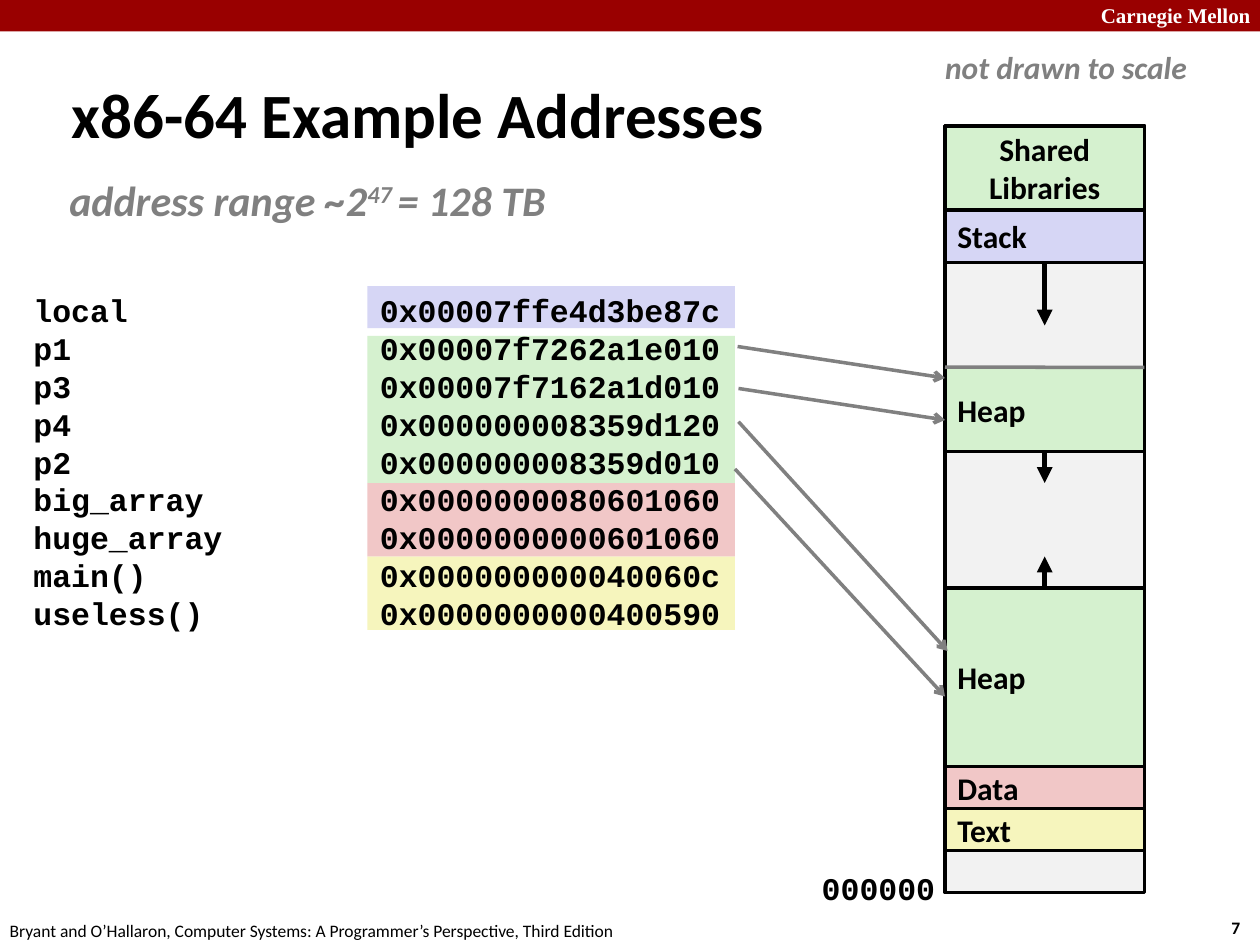
from dataclasses import dataclass

from lxml import etree
from pptx import Presentation
from pptx.dml.color import RGBColor
from pptx.enum.shapes import MSO_CONNECTOR, MSO_SHAPE
from pptx.enum.text import MSO_ANCHOR, MSO_AUTO_SIZE, PP_ALIGN
from pptx.oxml.ns import qn
from pptx.util import Pt

RECTANGLE = MSO_SHAPE.RECTANGLE
STRAIGHT = MSO_CONNECTOR.STRAIGHT
LEFT, CENTER = PP_ALIGN.LEFT, PP_ALIGN.CENTER
TOP, MIDDLE = MSO_ANCHOR.TOP, MSO_ANCHOR.MIDDLE
FIT_SHAPE = MSO_AUTO_SIZE.SHAPE_TO_FIT_TEXT
TOP_SIDE, BOTTOM_SIDE = 0, 2


@dataclass(frozen=True)
class Theme:
    banner: str = "990000"
    white: str = "FFFFFF"
    black: str = "000000"
    gray: str = "808080"
    unused: str = "F2F2F2"
    stack: str = "D6D6F5"
    heap: str = "D5F1CF"
    data: str = "F1C7C7"
    code: str = "F6F5BD"
    sans: str = "Calibri"
    mono: str = "Courier New"
    serif: str = "Times New Roman"
    title: int = 36
    subtitle: int = 24
    body: int = 18
    brand: int = 12
    footer: int = 10


THEME = Theme()
COLUMN_LEFT, COLUMN_WIDTH = 540, 114
COLUMN_MIDDLE = COLUMN_LEFT + COLUMN_WIDTH / 2

ADDRESSES = [
    "local\t0x00007ffe4d3be87c",
    "p1 \t0x00007f7262a1e010",
    "p3 \t0x00007f7162a1d010",
    "p4\t0x000000008359d120",
    "p2\t0x000000008359d010",
    "big_array \t0x0000000080601060",
    "huge_array \t0x0000000000601060",
    "main()\t0x000000000040060c",
    "useless() \t0x0000000000400590",
]
# Top, height and colour of the bands behind the addresses
BANDS = [
    (318, 42, THEME.code),
    (276, 42, THEME.data),
    (163.5, 24, THEME.stack),
    (192, 84, THEME.heap),
]
# Label, top, bottom and colour of the memory regions
REGIONS = [
    ("Text", 462, 486, THEME.code),
    ("Data", 438, 462, THEME.data),
    ("Heap", 336, 438, THEME.heap),
    ("Heap", 210, 258, THEME.heap),
    ("Stack", 120, 150, THEME.stack),
]
POINTERS = [
    ((421.5, 198), (540, 216)),
    ((422, 222), (540, 240)),
    ((422, 241), (541.5, 372)),
    ((420, 268), (540, 398)),
]


def color(value):
    return RGBColor.from_string(value)


def write(shape, paragraphs, *, size=THEME.body, font=THEME.sans, ink=THEME.black,
          bold=True, italic=False, align=LEFT, anchor=TOP, wrap=False,
          line_spacing=None, tab=None):
    """Fill a shape; each paragraph is a list of (text, raised) spans."""
    frame = shape.text_frame
    frame.word_wrap = wrap
    frame.vertical_anchor = anchor
    for index, spans in enumerate(paragraphs):
        para = frame.paragraphs[0] if index == 0 else frame.add_paragraph()
        para.alignment = align
        if line_spacing:
            para.line_spacing = Pt(line_spacing)
        if tab:
            stops = etree.SubElement(para._p.get_or_add_pPr(), qn("a:tabLst"))
            etree.SubElement(stops, qn("a:tab"), pos=str(Pt(tab)), algn="l")
        for text, raised in spans:
            span = para.add_run()
            span.text = text
            span.font.size = Pt(size)
            span.font.name = font
            span.font.bold = bold
            span.font.italic = italic
            span.font.color.rgb = color(ink)
            if raised:
                span.font._element.set("baseline", "30000")


def plain(*lines):
    return [[(line, False)] for line in lines]


def add_label(page, place, paragraphs, **text_format):
    box = page.shapes.add_textbox(*map(Pt, place))
    write(box, paragraphs, **text_format)
    box.text_frame.auto_size = FIT_SHAPE
    return box


def add_block(page, place, fill, outlined=False):
    block = page.shapes.add_shape(RECTANGLE, *map(Pt, place))
    block.shadow.inherit = False
    block.fill.solid()
    block.fill.fore_color.rgb = color(fill)
    if outlined:
        block.line.color.rgb = color(THEME.black)
        block.line.width = Pt(2)
    else:
        block.line.fill.background()
    return block


def add_region(page, top, bottom, fill):
    return add_block(page, (COLUMN_LEFT, top, COLUMN_WIDTH, bottom - top), fill, True)


def add_line(page, start, end, ink=THEME.gray, width=2, head=None):
    line = page.shapes.add_connector(STRAIGHT, *map(Pt, (*start, *end)))
    line.line.color.rgb = color(ink)
    line.line.width = Pt(width)
    properties = line._element.spPr
    if head:
        etree.SubElement(properties.find(qn("a:ln")), qn("a:tailEnd"), type=head)
    etree.SubElement(properties, qn("a:effectLst"))
    return line


def add_growth(page, region, side, start, end):
    """Draw the arrow that shows which way a region grows."""
    arrow = add_line(page, (COLUMN_MIDDLE, start), (COLUMN_MIDDLE, end),
                     THEME.black, 3, "triangle")
    arrow.begin_connect(region, side)


def add_frame(page):
    add_block(page, (0, 0, 720, 18), THEME.banner)
    add_label(page, (622, -2, 103, 21.6), plain("Carnegie Mellon"),
              size=THEME.brand, font=THEME.serif, ink=THEME.white, wrap=True)
    add_label(page, (696.5, 520.5, 26.5, 19.4), plain("7"), size=THEME.footer)
    add_label(page, (-1.5, 522, 366, 19.4), plain(
        "Bryant and O’Hallaron, Computer Systems: A Programmer’s Perspective, Third Edition"),
        size=THEME.footer, bold=False)


def add_addresses(page):
    for top, height, fill in BANDS:
        add_block(page, (210, top, 210, height), fill)
    add_label(page, (12, 163, 444, 203), plain(*ADDRESSES), font=THEME.mono,
              wrap=True, line_spacing=21.6, tab=198)


def add_memory(page):
    add_region(page, 72, 510, THEME.unused)
    regions = []
    for label, top, bottom, fill in REGIONS:
        region = add_region(page, top, bottom, fill)
        write(region, plain(label), anchor=MIDDLE)
        regions.append(region)
    lower_heap, upper_heap, stack = regions[2:]
    add_growth(page, lower_heap, TOP_SIDE, 336, 318)
    add_growth(page, upper_heap, BOTTOM_SIDE, 258, 276)
    add_growth(page, stack, BOTTOM_SIDE, 150, 186)
    add_line(page, (COLUMN_LEFT, 209.75), (COLUMN_LEFT + COLUMN_WIDTH, 210))
    libraries = add_region(page, 72, 120, THEME.heap)
    write(libraries, plain("Shared", "Libraries"), align=CENTER, anchor=MIDDLE, wrap=True)
    add_label(page, (462.5, 493, 80, 28.8), plain("000000"),
              font=THEME.mono, line_spacing=21.6)
    add_label(page, (533, 24, 153, 28.8), plain("not drawn to scale"),
              ink=THEME.gray, italic=True)


def main():
    deck = Presentation()
    deck.slide_width, deck.slide_height = Pt(720), Pt(540)
    page = deck.slides.add_slide(deck.slide_layouts[6])
    add_frame(page)
    title = page.shapes.add_textbox(Pt(34), Pt(42), Pt(518), Pt(45))
    write(title, plain("x86-64 Example Addresses"), size=THEME.title, anchor=MIDDLE, wrap=True)
    subtitle = add_label(
        page, (36, 96, 284.5, 36),
        [[("address range ~2", False), ("47 ", True), ("= 128 TB", False)]],
        size=THEME.subtitle, ink=THEME.gray, italic=True)
    subtitle.text_frame.margin_left = subtitle.text_frame.margin_right = Pt(3.6)
    add_addresses(page)
    add_memory(page)
    for start, end in POINTERS:
        add_line(page, start, end, head="arrow")
    deck.save("out.pptx")


if __name__ == "__main__":
    main()
